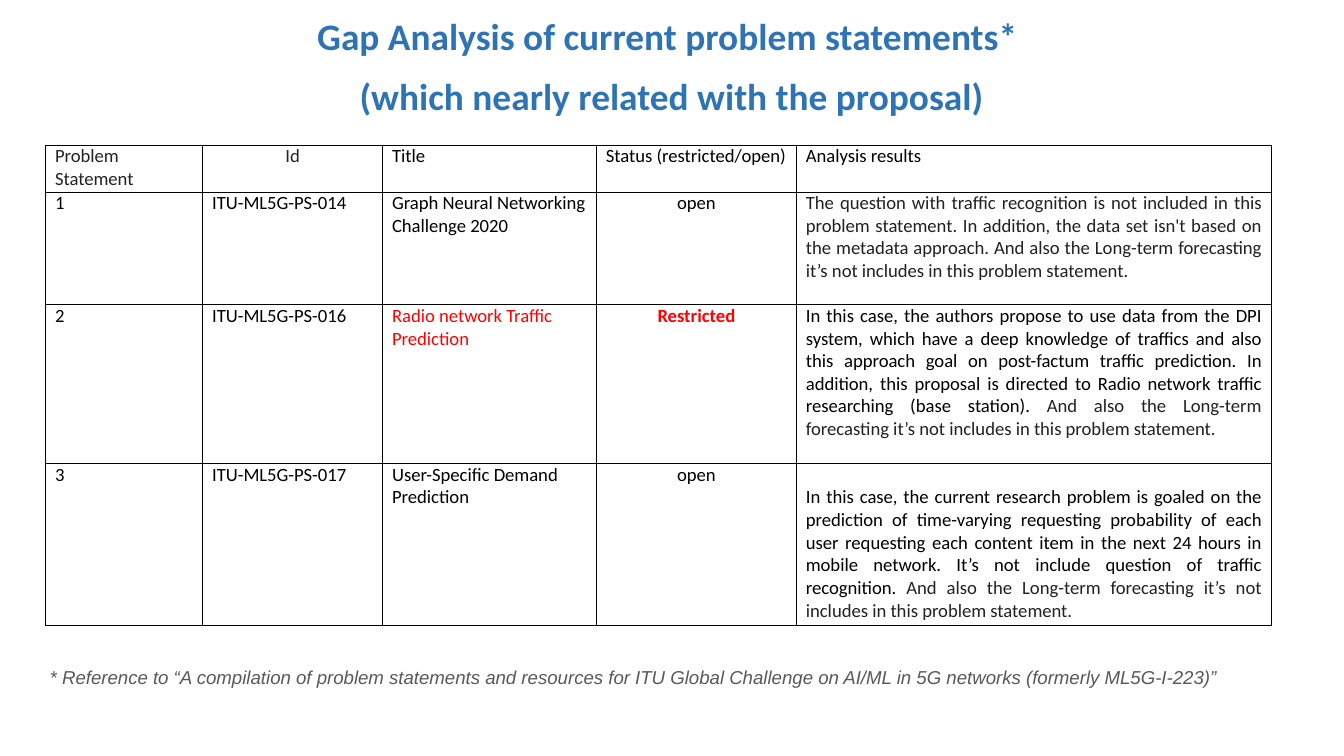
from dataclasses import dataclass

from lxml import etree
from pptx import Presentation
from pptx import util as u
from pptx.dml.color import RGBColor
from pptx.enum import text
from pptx.oxml import ns

BLACK, HEADER_GREY, TEXT_GREY = "000000", "222222", "212121"
RED, BLUE, FOOTNOTE_GREY, WHITE = "FF0000", "2E74B5", "595959", "FFFFFF"
LEFT, CENTER, JUSTIFY = text.PP_ALIGN.LEFT, text.PP_ALIGN.CENTER, text.PP_ALIGN.JUSTIFY


@dataclass
class Run:
    words: str
    color: str = BLACK
    size: int = 10
    font: str = "Calibri"
    bold: bool = False
    italic: bool = False


@dataclass
class CellText:
    runs: list[Run]
    align: text.PP_ALIGN = LEFT
    top_gap: float = 0


@dataclass
class Problem:
    number: int
    title: str
    status: str
    analysis: list[Run]
    color: str = BLACK
    top_gap: float = 0

    def cells(self) -> list[CellText]:
        return [
            CellText([Run(str(self.number))], JUSTIFY),
            CellText([Run(f"ITU-ML5G-PS-0{13 + self.number if self.number == 1 else 14 + self.number}")], JUSTIFY),
            CellText([Run(self.title, self.color)]),
            CellText([Run(self.status, self.color, bold=self.color == RED)], CENTER),
            CellText(self.analysis, JUSTIFY, self.top_gap),
        ]


def rgb(color: str) -> RGBColor:
    return RGBColor.from_string(color)


def add_runs(paragraph, runs: list[Run], align: text.PP_ALIGN) -> None:
    paragraph.alignment = align
    for item in runs:
        run = paragraph.add_run()
        run.text = item.words
        run.font.name, run.font.size = item.font, u.Pt(item.size)
        run.font.bold, run.font.italic = item.bold, item.italic
        run.font.color.rgb = rgb(item.color)


def prepare_frame(shape):
    frame = shape.text_frame
    frame.word_wrap = True
    frame.auto_size = text.MSO_AUTO_SIZE.NONE
    frame.vertical_anchor = text.MSO_ANCHOR.TOP
    frame.margin_left = frame.margin_right = u.Cm(0.25)
    frame.margin_top = frame.margin_bottom = u.Cm(0.25)
    return frame


def add_borders(cell, color: str, width: float) -> None:
    properties = cell._tc.get_or_add_tcPr()
    for index, side in enumerate(("lnL", "lnR", "lnT", "lnB")):
        line = etree.Element(ns.qn(f"a:{side}"), w=str(u.Pt(width)))
        fill = etree.SubElement(line, ns.qn("a:solidFill"))
        etree.SubElement(fill, ns.qn("a:srgbClr"), val=color)
        properties.insert(index, line)


def fill_cell(cell, content: CellText) -> None:
    cell.margin_left = cell.margin_right = u.Cm(0.18)
    cell.margin_top, cell.margin_bottom = u.Cm(content.top_gap), 0
    cell.vertical_anchor = text.MSO_ANCHOR.TOP
    cell.fill.solid()
    cell.fill.fore_color.rgb = rgb(WHITE)
    add_borders(cell, BLACK, 0.5)
    add_runs(cell.text_frame.paragraphs[0], content.runs, content.align)


FORECASTING = "And also the Long-term forecasting it’s not includes in this problem statement."
HEADER = [
    CellText([Run("Problem Statement\u00a0", HEADER_GREY)]),
    CellText([Run("Id", HEADER_GREY)], CENTER),
    CellText([Run("Title")]),
    CellText([Run("Status (restricted/open)")]),
    CellText([Run("Analysis results")]),
]
PROBLEMS = [
    Problem(1, "Graph Neural Networking Challenge 2020", "open", [
        Run("The question with traffic recognition is not included in this problem statement. "
            "In addition, the data set isn't based on the metadata approach. " + FORECASTING, TEXT_GREY)]),
    Problem(2, "Radio network Traffic Prediction", "Restricted", [
        Run("In this case, the authors propose to use data from the DPI system, which have a deep "
            "knowledge of traffics and also this approach goal on post-factum traffic prediction. "
            "In addition, this proposal is directed to Radio network traffic researching (base station). "),
        Run(FORECASTING, TEXT_GREY)], color=RED),
    Problem(3, "User-Specific Demand Prediction", "open", [
        Run("In this case, the current research problem is goaled on the prediction of time-varying "
            "requesting probability of each user requesting each content item in the next 24 hours in "
            "mobile network. It’s not include question of traffic recognition. "),
        Run(FORECASTING, TEXT_GREY)], top_gap=0.43),
]
COLUMN_WIDTHS = [2.97, 3.4, 4.04, 3.78, 8.97]
ROW_HEIGHTS = [0.89, 2.13, 3, 3.07]

presentation = Presentation()
presentation.slide_width, presentation.slide_height = u.Cm(25.4), u.Cm(14.29)
slide = presentation.slides.add_slide(presentation.slide_layouts[5])

# Title
title = slide.shapes.title
title.left, title.top, title.width, title.height = u.Cm(0.86), 0, u.Cm(23.67), u.Cm(2.21)
title_frame = prepare_frame(title)
title_lines = [("Gap Analysis of current problem statements* ", 6, 0),
               ("(which nearly related with the proposal)", 8, 8)]
for index, (words, before, after) in enumerate(title_lines):
    paragraph = title_frame.add_paragraph() if index else title_frame.paragraphs[0]
    paragraph.space_before, paragraph.space_after = u.Pt(before), u.Pt(after)
    add_runs(paragraph, [Run(words, BLUE, 20, bold=True)], CENTER)

# Problem statement table
rows = [HEADER] + [problem.cells() for problem in PROBLEMS]
table = slide.shapes.add_table(
    len(rows), len(HEADER), u.Cm(0.86), u.Cm(2.74),
    u.Cm(sum(COLUMN_WIDTHS)), u.Cm(sum(ROW_HEIGHTS))).table
table.first_row = table.horz_banding = False
for column, width in zip(table.columns, COLUMN_WIDTHS):
    column.width = u.Cm(width)
for row, height, contents in zip(table.rows, ROW_HEIGHTS, rows):
    row.height = u.Cm(height)
    for cell, content in zip(row.cells, contents):
        fill_cell(cell, content)

# Footnote
footnote = slide.shapes.add_textbox(u.Cm(0.69), u.Cm(12.34), u.Cm(24), u.Cm(1.12))
add_runs(prepare_frame(footnote).paragraphs[0], [
    Run("* Reference to “A compilation of problem statements and resources for ITU Global Challenge "
        "on AI/ML in 5G networks (formerly ML5G-I-223)”", FOOTNOTE_GREY, font="Arial", italic=True)], LEFT)

presentation.save("out.pptx")
